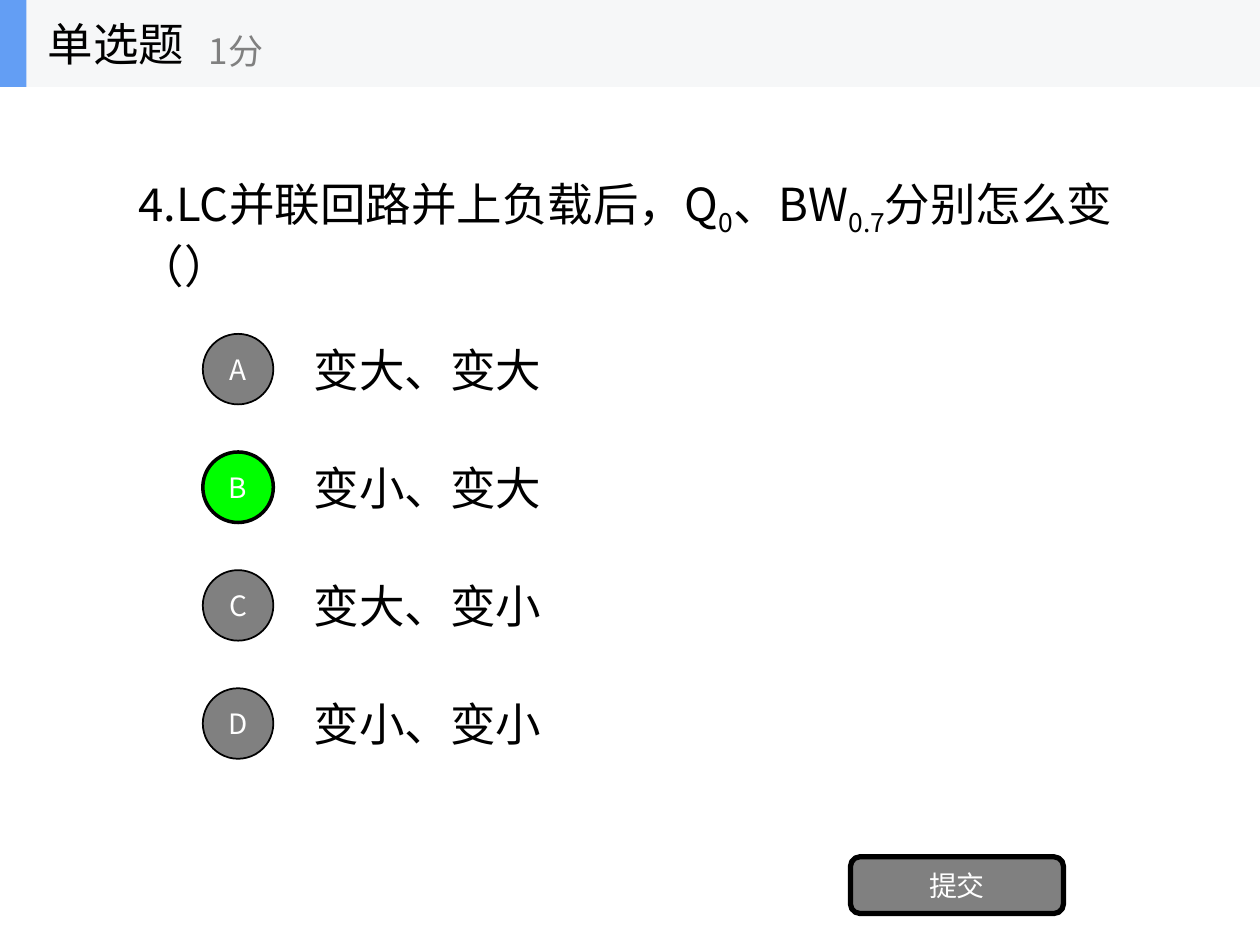
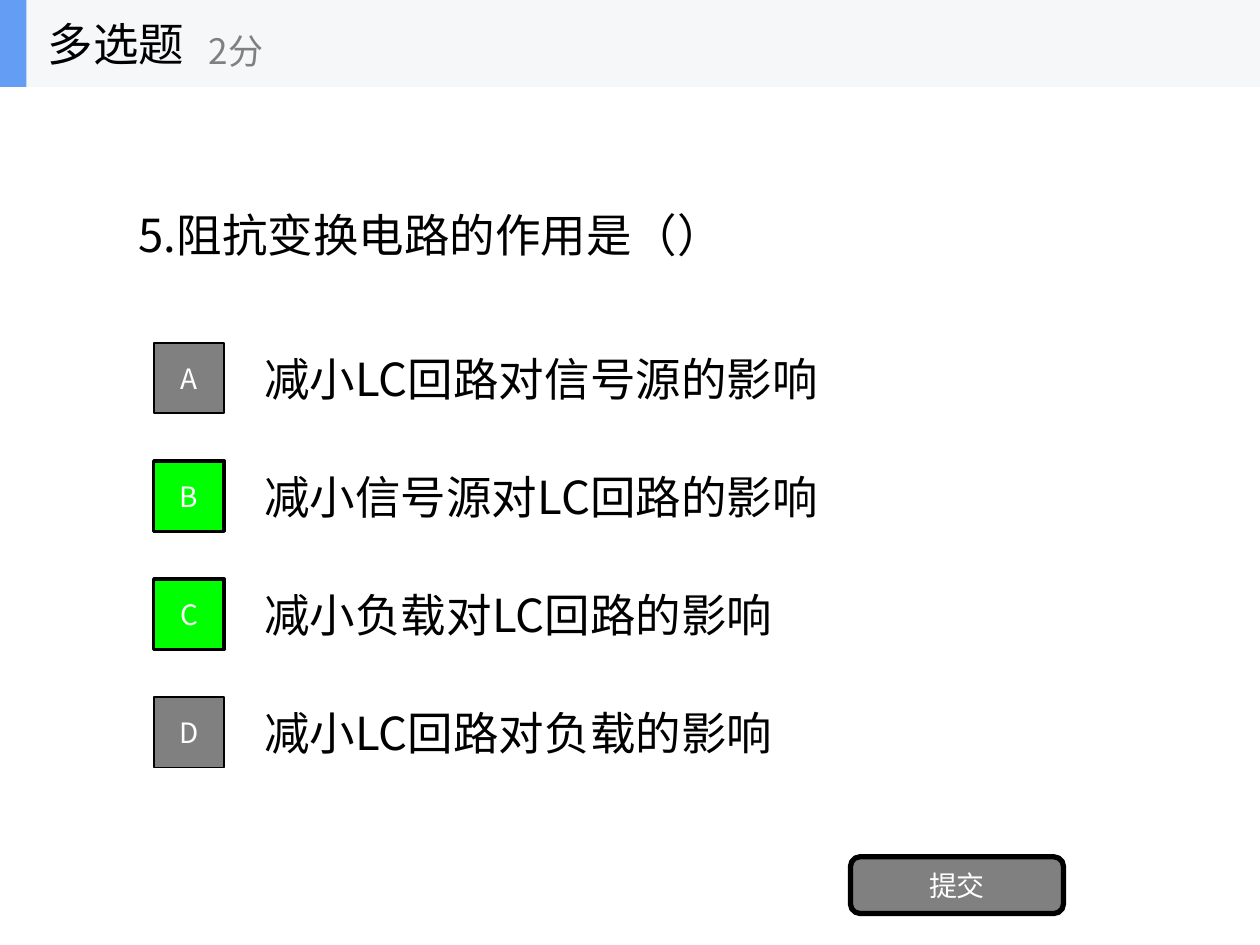
"""Build two quiz slides: a single-choice and a multiple-choice question."""
from lxml import etree
from pptx import Presentation
from pptx.dml.color import RGBColor
from pptx.enum.shapes import MSO_SHAPE
from pptx.enum.text import MSO_ANCHOR, MSO_AUTO_SIZE, PP_ALIGN
from pptx.oxml.ns import qn
from pptx.util import Inches, Pt

RECTANGLE, ELLIPSE = MSO_SHAPE.RECTANGLE, MSO_SHAPE.OVAL
ROUNDED = MSO_SHAPE.ROUNDED_RECTANGLE
LEFT, CENTER = PP_ALIGN.LEFT, PP_ALIGN.CENTER
MIDDLE, NO_FIT = MSO_ANCHOR.MIDDLE, MSO_AUTO_SIZE.NONE

QUIZZES = [
    {
        "kind": "单选题", "score": "1分", "marker": ELLIPSE,
        "question": [("4.LC并联回路并上负载后，Q", False), ("0", True),
                     ("、BW", False), ("0.7", True), ("分别怎么变（）", False)],
        "options": ["变大、变大", "变小、变大", "变大、变小", "变小、变小"],
        "correct": "B", "left": 2.39, "top": 2.58,
    },
    {
        "kind": "多选题", "score": "2分", "marker": RECTANGLE,
        "question": [("5.阻抗变换电路的作用是（）", False)],
        "options": ["减小LC回路对信号源的影响", "减小信号源对LC回路的影响",
                    "减小负载对LC回路的影响", "减小LC回路对负载的影响"],
        "correct": "BC", "left": 2, "top": 2.65,
    },
]
SUBMIT = "提交"
FONT = "Noto Sans CJK SC"
BLACK, WHITE, GRAY, GREEN = "000000", "FFFFFF", "808080", "00FF00"
BAND, ACCENT = "F6F7F8", "639EF4"
WIDTH, HEIGHT = 10, 7.5
HEADER = 0.69
ROW_STEP = HEIGHT / 8
ROW_HEIGHT, MARKER_SIZE, MARKER_OFFSET = 0.7, 0.56, 0.78


def color(value):
    return RGBColor.from_string(value)


def place(box, left, top, width, height):
    box.left, box.top = Inches(left), Inches(top)
    box.width, box.height = Inches(width), Inches(height)


def write(box, text, size=26, ink=BLACK, align=LEFT, margins=(0.1, 0.05)):
    """Fill a box with a string or with (text, is_subscript) spans."""
    frame = box.text_frame
    frame.auto_size, frame.word_wrap, frame.vertical_anchor = NO_FIT, True, MIDDLE
    frame.margin_left = frame.margin_right = Inches(margins[0])
    frame.margin_top = frame.margin_bottom = Inches(margins[1])
    para = frame.paragraphs[0]
    para.alignment, para.space_before = align, Pt(0)
    for content, subscript in [(text, False)] if isinstance(text, str) else text:
        span = para.add_run()
        span.text = content
        span.font.size, span.font.name = Pt(size), FONT
        span.font.color.rgb = color(ink)
        properties = span.font._element
        etree.SubElement(properties, qn("a:ea")).set("typeface", FONT)
        if subscript:
            properties.set("baseline", "-25000")


def add_text(page, bounds, text, **style):
    box = page.shapes.add_textbox(*map(Inches, bounds))
    write(box, text, **style)


def add_block(page, preset, bounds, fill, border=0, label=""):
    block = page.shapes.add_shape(preset, *map(Inches, bounds))
    block.shadow.inherit = False
    block.fill.solid()
    block.fill.fore_color.rgb = color(fill)
    if border:
        block.line.color.rgb = color(BLACK)
        block.line.width = Pt(border)
    else:
        block.line.fill.background()
    if label:
        write(block, label, size=16, ink=WHITE, align=CENTER, margins=(0, 0))


def add_header(page, kind, score):
    add_block(page, RECTANGLE, (0, 0, WIDTH, HEADER), BAND)
    add_block(page, RECTANGLE, (0, 0, 0.21, HEADER), ACCENT)
    title = page.shapes.title
    place(title, 0.28, 0, 2.08, HEADER)
    write(title, kind)
    page.shapes._spTree.append(title._element)
    add_text(page, (1.56, 0.12, 2.5, 0.56), score, size=20, ink=GRAY)


def add_question(page, question):
    body = page.placeholders[1]
    place(body, 1, HEADER, 8, 2.34)
    properties = body.text_frame.paragraphs[0]._p.get_or_add_pPr()
    properties.set("marL", "0")
    properties.set("indent", "0")
    etree.SubElement(properties, qn("a:buNone"))
    write(body, question)


def add_options(page, quiz):
    left = quiz["left"]
    for row, (letter, option) in enumerate(zip("ABCD", quiz["options"])):
        top = quiz["top"] + row * ROW_STEP
        add_text(page, (left, top, 7, ROW_HEIGHT), option)
        marker_top = top + (ROW_HEIGHT - MARKER_SIZE) / 2
        fill, border = (GREEN, 2) if letter in quiz["correct"] else (GRAY, 1)
        add_block(page, quiz["marker"],
                  (left - MARKER_OFFSET, marker_top, MARKER_SIZE, MARKER_SIZE),
                  fill, border, letter)


def main():
    deck = Presentation()
    deck.slide_width, deck.slide_height = Inches(WIDTH), Inches(HEIGHT)
    for quiz in QUIZZES:
        page = deck.slides.add_slide(deck.slide_layouts[1])
        add_question(page, quiz["question"])
        add_options(page, quiz)
        add_block(page, ROUNDED, (6.75, 6.8, 1.69, 0.45), GRAY, 3, SUBMIT)
        add_header(page, quiz["kind"], quiz["score"])
    deck.save("out.pptx")


if __name__ == "__main__":
    main()
